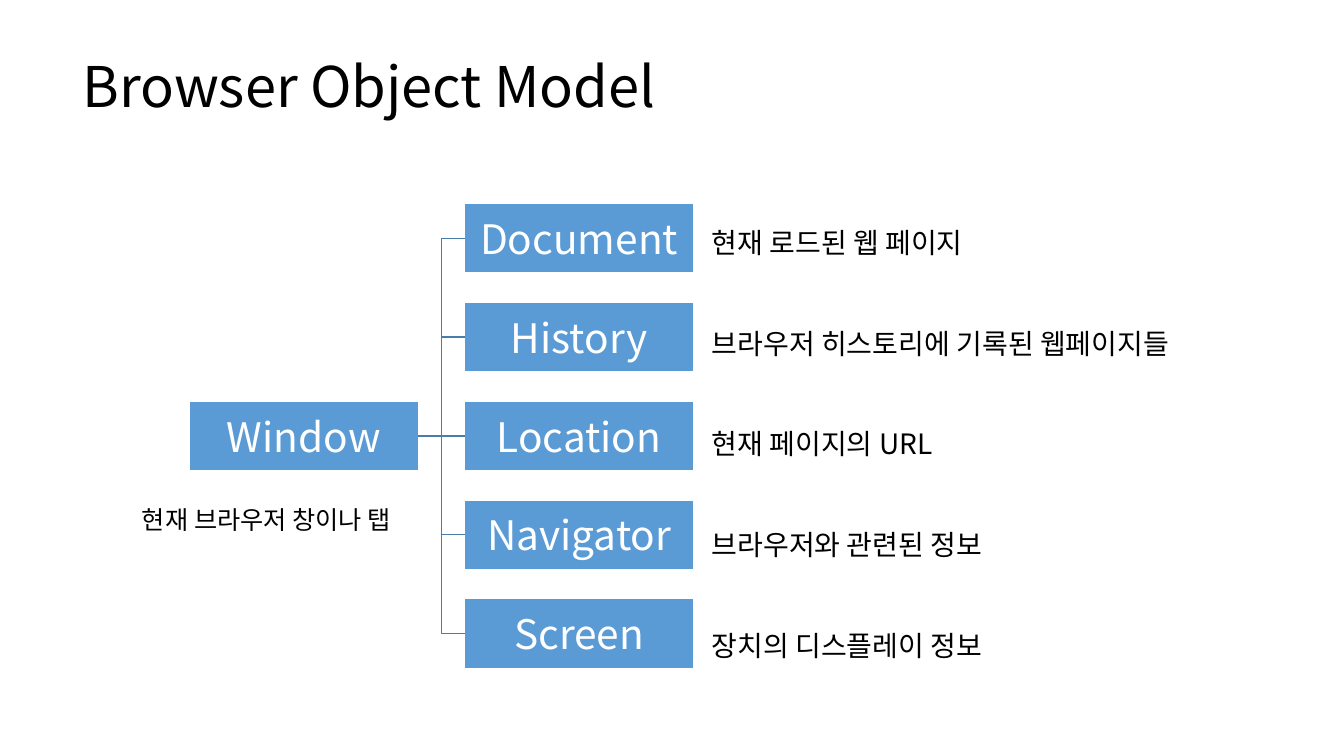
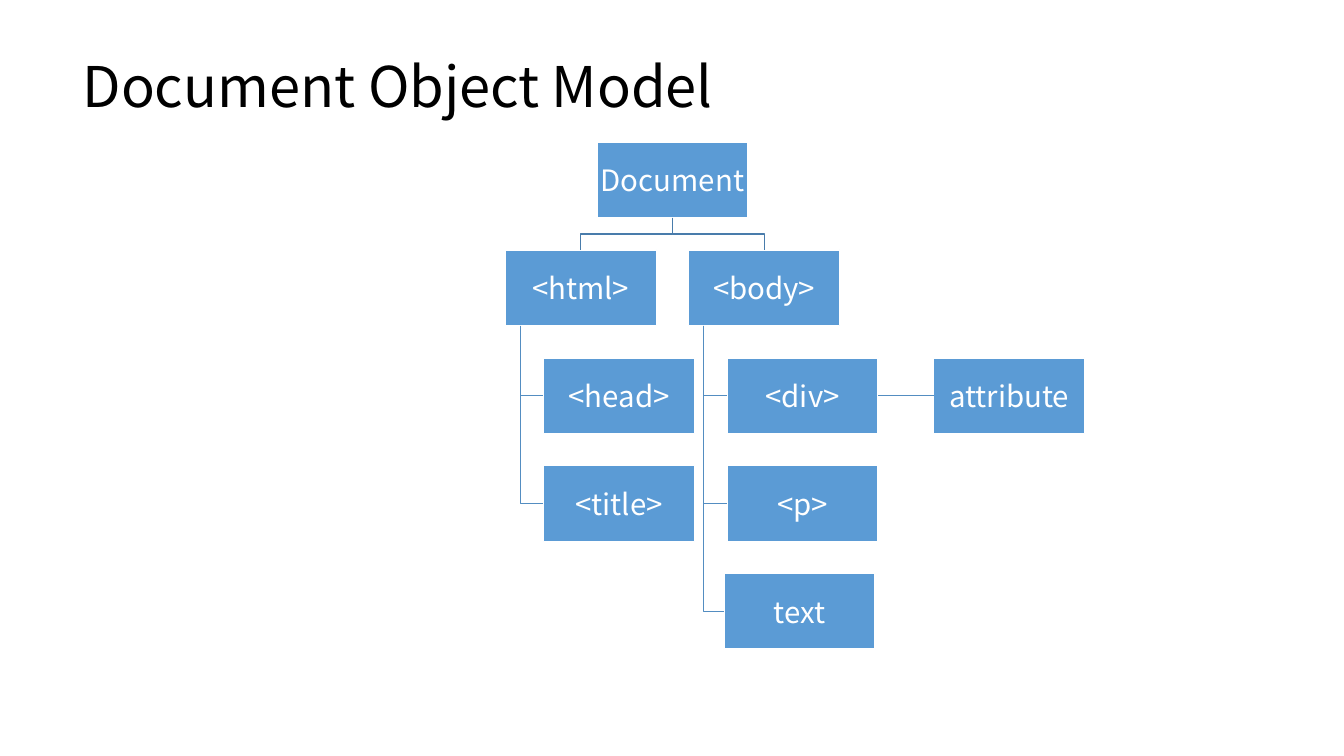
"""Build two slides on the browser and document object models."""
from lxml.etree import SubElement
from pptx import Presentation
from pptx.dml.color import RGBColor
from pptx.enum.shapes import MSO_CONNECTOR as CONNECTOR, MSO_SHAPE as SHAPE
from pptx.enum.text import MSO_ANCHOR as ANCHOR, PP_ALIGN as ALIGN
from pptx.oxml.ns import qn
from pptx.util import Pt

PX = 9144
FONT = "Noto Sans CJK KR"
BLACK = RGBColor(0x00, 0x00, 0x00)
WHITE = RGBColor(0xFF, 0xFF, 0xFF)
BLUE = RGBColor(0x5B, 0x9B, 0xD5)
DARK_BLUE = RGBColor(0x49, 0x7C, 0xAB)
MID_BLUE = RGBColor(0x53, 0x8D, 0xC1)

BROWSER_OBJECTS = [
    ("Document", "현재 로드된 웹 페이지"),
    ("History", "브라우저 히스토리에 기록된 웹페이지들"),
    ("Location", "현재 페이지의 URL"),
    ("Navigator", "브라우저와 관련된 정보"),
    ("Screen", "장치의 디스플레이 정보"),
]
BROWSER_TOP, BROWSER_PITCH = 202, 98
BROWSER_BOX = (227, 69)
TREE_TOP, TREE_PITCH = 141, 107
TREE_BOX = (150, 75)


def format_paragraph(paragraph, size, color, spacing=1.2):
    """Set the line height, font, size and colour of a paragraph."""
    paragraph.line_spacing = Pt(size * spacing)
    for run in paragraph.runs:
        run.font.name = FONT
        run.font.size = Pt(size)
        run.font.color.rgb = color
        SubElement(run._r.get_or_add_rPr(), qn("a:ea")).set("typeface", FONT)


def add_text(slide, lines, left, top, width, height, size, spacing=1.2, gap=0):
    """Add a text box with one paragraph for each line."""
    shape = slide.shapes.add_textbox(left * PX, top * PX, width * PX, height * PX)
    text_frame = shape.text_frame
    text_frame.word_wrap = True
    text_frame.text = "\n".join(lines)
    for paragraph in text_frame.paragraphs:
        format_paragraph(paragraph, size, BLACK, spacing)
        paragraph.space_after = Pt(gap)


def add_titled_slide(presentation, title):
    """Add a blank slide with the shared title style."""
    slide = presentation.slides.add_slide(presentation.slide_layouts[6])
    add_text(slide, [title], 72, 46, 902, 77, 40)
    return slide


def add_box(slide, label, left, top, box_size, font_size):
    """Add a blue box with a centred label."""
    width, height = box_size
    shape = slide.shapes.add_shape(
        SHAPE.RECTANGLE, left * PX, top * PX, width * PX, height * PX)
    shape.shadow.inherit = False
    shape.fill.solid()
    shape.fill.fore_color.rgb = BLUE
    shape.line.color.rgb = WHITE
    shape.line.width = Pt(1)
    text_frame = shape.text_frame
    text_frame.word_wrap = True
    text_frame.vertical_anchor = ANCHOR.MIDDLE
    text_frame.margin_left = text_frame.margin_right = PX
    text_frame.margin_top = text_frame.margin_bottom = PX
    text_frame.text = label
    paragraph = text_frame.paragraphs[0]
    paragraph.alignment = ALIGN.CENTER
    format_paragraph(paragraph, font_size, WHITE)
    return shape


def join_sideways(slide, parent, child, color):
    """Join the right side of a parent to the left side of its child."""
    kind = CONNECTOR.STRAIGHT if parent.top == child.top else CONNECTOR.ELBOW
    connector = slide.shapes.add_connector(kind, 0, 0, 0, 0)
    connector.begin_connect(parent, 3)
    connector.end_connect(child, 1)
    connector.line.color.rgb = color
    connector.line.width = Pt(1)
    SubElement(connector._element.spPr, qn("a:effectLst"))


def add_bent_line(slide, points, color):
    """Draw an open line through the points."""
    builder = slide.shapes.build_freeform(*points[0])
    builder.add_line_segments(points[1:], close=False)
    shape = builder.convert_to_shape()
    shape.shadow.inherit = False
    shape.fill.background()
    shape.line.color.rgb = color
    shape.line.width = Pt(1)


def join_below(slide, parent, child):
    """Join the bottom of a parent to the top of its child."""
    start_x = parent.left + parent.width // 2
    end_x = child.left + child.width // 2
    bottom = parent.top + parent.height
    middle = (bottom + child.top) // 2
    points = [(start_x, bottom), (start_x, middle), (end_x, middle), (end_x, child.top)]
    add_bent_line(slide, points, DARK_BLUE)


def join_hanging(slide, parent, child):
    """Join the lower left of a parent to the left side of its child."""
    trunk = parent.left + parent.width // 10
    middle = child.top + child.height // 2
    points = [(trunk, parent.top + parent.height), (trunk, middle), (child.left, middle)]
    add_bent_line(slide, points, MID_BLUE)


def add_tree_box(slide, label, left, row):
    """Add a box on a row of the document tree."""
    return add_box(slide, label, left, TREE_TOP + row * TREE_PITCH, TREE_BOX, 21)


def build_browser_slide(presentation):
    """Build the browser object model slide."""
    slide = add_titled_slide(presentation, "Browser Object Model")
    window = add_box(slide, "Window", 188, BROWSER_TOP + 2 * BROWSER_PITCH, BROWSER_BOX, 29)
    for row, (label, _) in enumerate(BROWSER_OBJECTS):
        child = add_box(slide, label, 461, BROWSER_TOP + row * BROWSER_PITCH, BROWSER_BOX, 29)
        join_sideways(slide, window, child, DARK_BLUE)
    descriptions = [description for _, description in BROWSER_OBJECTS]
    add_text(slide, descriptions, 696, 202, 637, 464, 20, spacing=1.8, gap=36)
    add_text(slide, ["현재 브라우저 창이나 탭"], 131, 495, 305, 40, 18)


def build_document_slide(presentation):
    """Build the document object model slide."""
    slide = add_titled_slide(presentation, "Document Object Model")
    document = add_tree_box(slide, "Document", 592, 0)
    branches = [
        ("<html>", 501, [("<head>", 539), ("<title>", 539)]),
        ("<body>", 683, [("<div>", 721), ("<p>", 721), ("text", 718)]),
    ]
    boxes = {}
    for label, left, children in branches:
        parent = add_tree_box(slide, label, left, 1)
        join_below(slide, document, parent)
        for row, (child_label, child_left) in enumerate(children, start=2):
            boxes[child_label] = add_tree_box(slide, child_label, child_left, row)
            join_hanging(slide, parent, boxes[child_label])
    attribute = add_tree_box(slide, "attribute", 926, 2)
    join_sideways(slide, boxes["<div>"], attribute, MID_BLUE)


def main():
    """Build and save the presentation."""
    presentation = Presentation()
    presentation.slide_width = 1333 * PX
    presentation.slide_height = 750 * PX
    build_browser_slide(presentation)
    build_document_slide(presentation)
    presentation.save("out.pptx")


if __name__ == "__main__":
    main()
